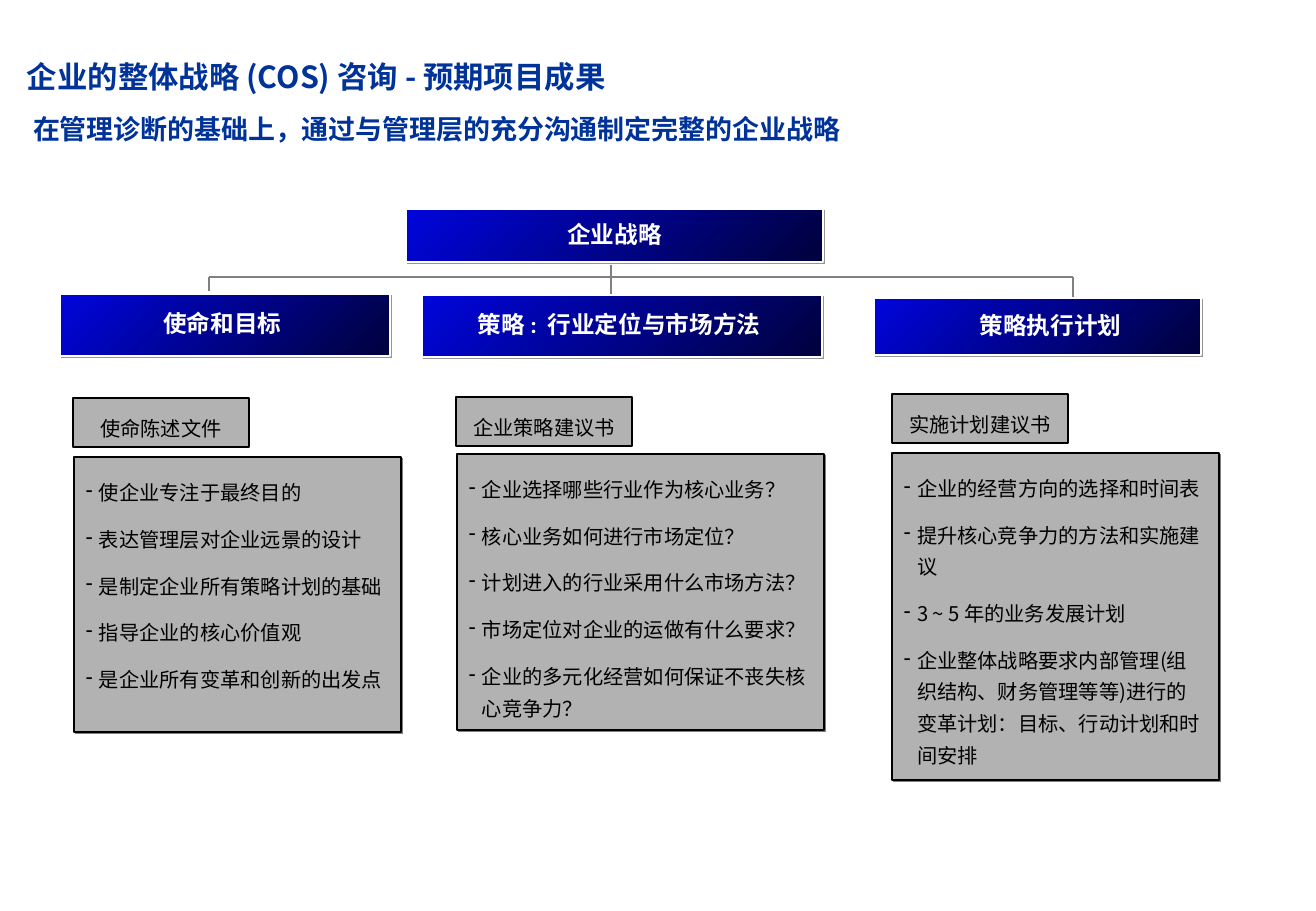
"""Builds the strategy consulting deliverables slide."""
from lxml import etree
from pptx import Presentation
from pptx import util as u
from pptx.dml.color import RGBColor
from pptx.enum import shapes, text
from pptx.oxml.ns import qn

PX = 914400 / 121.5
CJK, LATIN = "Noto Sans CJK SC", "Calibri"
NAVY, WHITE, BLACK, GREY, RULE = "003399", "FFFFFF", "000000", "B2B2B2", "808080"
GRADIENT = ("0005DC", "00013C")
INDENT = 13

titles = [
    ("企业的整体战略 (COS) 咨询 - 预期项目成果", 18, (27, 22, 1180, 73)),
    ("在管理诊断的基础上，通过与管理层的充分沟通制定完整的企业战略", 16, (33, 72, 1225, 73)),
]
strategy = ("企业战略", (406, 209, 417, 53))
branches = [
    {"heading": "使命和目标 ", "heading_box": (60, 294, 330, 62), "margin": 0,
     "document": "使命陈述文件", "document_at": (73, 398),
     "points_box": (74, 457, 327, 275),
     "points": ["使企业专注于最终目的", "表达管理层对企业远景的设计",
                "是制定企业所有策略计划的基础", "指导企业的核心价值观",
                "是企业所有变革和创新的出发点"]},
    {"heading": "策略 :  行业定位与市场方法 ", "heading_box": (422, 295, 400, 62), "margin": 0,
     "document": "企业策略建议书", "document_at": (456, 397),
     "points_box": (457, 454, 367, 276),
     "points": ["企业选择哪些行业作为核心业务？", "核心业务如何进行市场定位？",
                "计划进入的行业采用什么市场方法？", "市场定位对企业的运做有什么要求？",
                "企业的多元化经营如何保证不丧失核心竞争力？"]},
    {"heading": "策略执行计划", "heading_box": (874, 298, 327, 57), "margin": 26,
     "document": "实施计划建议书", "document_at": (892, 394),
     "points_box": (892, 453, 327, 327),
     "points": ["企业的经营方向的选择和时间表", "提升核心竞争力的方法和实施建议",
                "3 ~ 5 年的业务发展计划",
                "企业整体战略要求内部管理(组织结构、财务管理等等)进行的变革计划：目标、行动计划和时间安排"]},
]
DOCUMENT_SIZE = (176, 49)
LEFT, MIDDLE, RIGHT, BAR = 209, 611, 1073, 277
links = [(LEFT, BAR, RIGHT, BAR), (LEFT, BAR, LEFT, 291),
         (RIGHT, BAR, RIGHT, 297), (MIDDLE, 265, MIDDLE, 295)]


def px(*lengths):
    return [u.Emu(round(length * PX)) for length in lengths]


def rgb(code):
    return RGBColor.from_string(code)


def sub(parent, tag, **attributes):
    return etree.SubElement(parent, qn(tag), attributes)


def write(shape, lines, size, color, font=CJK, bold=False, align=text.PP_ALIGN.LEFT,
          spacing=1.0, gap=0, margin=0, hanging=0, bullet=False):
    frame = shape.text_frame
    for index, line in enumerate(lines):
        paragraph = frame.paragraphs[0] if index == 0 else frame.add_paragraph()
        paragraph.text = line
        settings = paragraph._p.get_or_add_pPr()
        settings.set("marL", str(px(margin)[0]))
        settings.set("indent", str(px(-hanging)[0]))
        if bullet:
            sub(settings, "a:buChar", char="-")
        paragraph.alignment = align
        paragraph.line_spacing = spacing
        paragraph.space_before = paragraph.space_after = u.Pt(gap)
        paragraph.font.name, paragraph.font.size = font, u.Pt(size)
        paragraph.font.bold = bold
        paragraph.font.color.rgb = rgb(color)
        sub(settings.find(qn("a:defRPr")), "a:ea", typeface=CJK)


def inset(frame, left, top, right, bottom):
    frame.margin_left, frame.margin_top, frame.margin_right, frame.margin_bottom = px(
        left, top, right, bottom)


def add_box(box, outline, shadow=None):
    shape = slide.shapes.add_shape(shapes.MSO_SHAPE.RECTANGLE, *px(*box))
    shape.line.color.rgb = rgb(outline)
    shape.line.width = u.Pt(1)
    shape.shadow.inherit = False
    if shadow:
        effects = shape._element.spPr.find(qn("a:effectLst"))
        cast = sub(effects, "a:outerShdw", blurRad="0", dist=str(u.Pt(1.4)),
                   dir="2700000", algn="ctr", rotWithShape="0")
        sub(cast, "a:srgbClr", val=shadow)
    return shape


def add_heading(label, box, margin=0):
    heading = add_box(box, WHITE, "969696")
    heading.fill.gradient()
    heading.fill.gradient_angle = 315
    for stop, color in zip(heading.fill.gradient_stops, GRADIENT):
        stop.color.rgb = rgb(color)
    inset(heading.text_frame, 12, 6, 12, 6)
    heading.text_frame.word_wrap = False
    heading.text_frame.vertical_anchor = text.MSO_ANCHOR.MIDDLE
    write(heading, [label], 14, WHITE, LATIN, True, text.PP_ALIGN.CENTER, 0.9, margin=margin)


def add_panel(lines, box, shadow=None, **style):
    panel = add_box(box, BLACK, shadow)
    panel.fill.solid()
    panel.fill.fore_color.rgb = rgb(GREY)
    inset(panel.text_frame, 12, 16, 12, 6)
    panel.text_frame.word_wrap = True
    panel.text_frame.vertical_anchor = text.MSO_ANCHOR.TOP
    write(panel, lines, 12, BLACK, gap=4.5, margin=INDENT, hanging=INDENT, **style)


deck = Presentation()
deck.slide_width, deck.slide_height = px(1316, 911)
slide = deck.slides.add_slide(deck.slide_layouts[6])

for title, size, box in titles:
    heading_line = slide.shapes.add_textbox(*px(*box))
    inset(heading_line.text_frame, 0, 0, 0, 0)
    heading_line.text_frame.word_wrap = True
    heading_line.text_frame.vertical_anchor = text.MSO_ANCHOR.BOTTOM
    write(heading_line, [title], size, NAVY, bold=True)

add_heading(*strategy)
for link in links:
    connector = slide.shapes.add_connector(shapes.MSO_CONNECTOR.STRAIGHT, *px(*link))
    connector.line.color.rgb = rgb(RULE)
    connector.line.width = u.Pt(1)
    sub(connector._element.spPr, "a:effectLst")

for branch in branches:
    add_heading(branch["heading"], branch["heading_box"], branch["margin"])
    add_panel(branch["points"], branch["points_box"], RULE, spacing=1.3, bullet=True)
    add_panel([branch["document"]], branch["document_at"] + DOCUMENT_SIZE,
              align=text.PP_ALIGN.CENTER, spacing=1.1)

deck.save("out.pptx")
